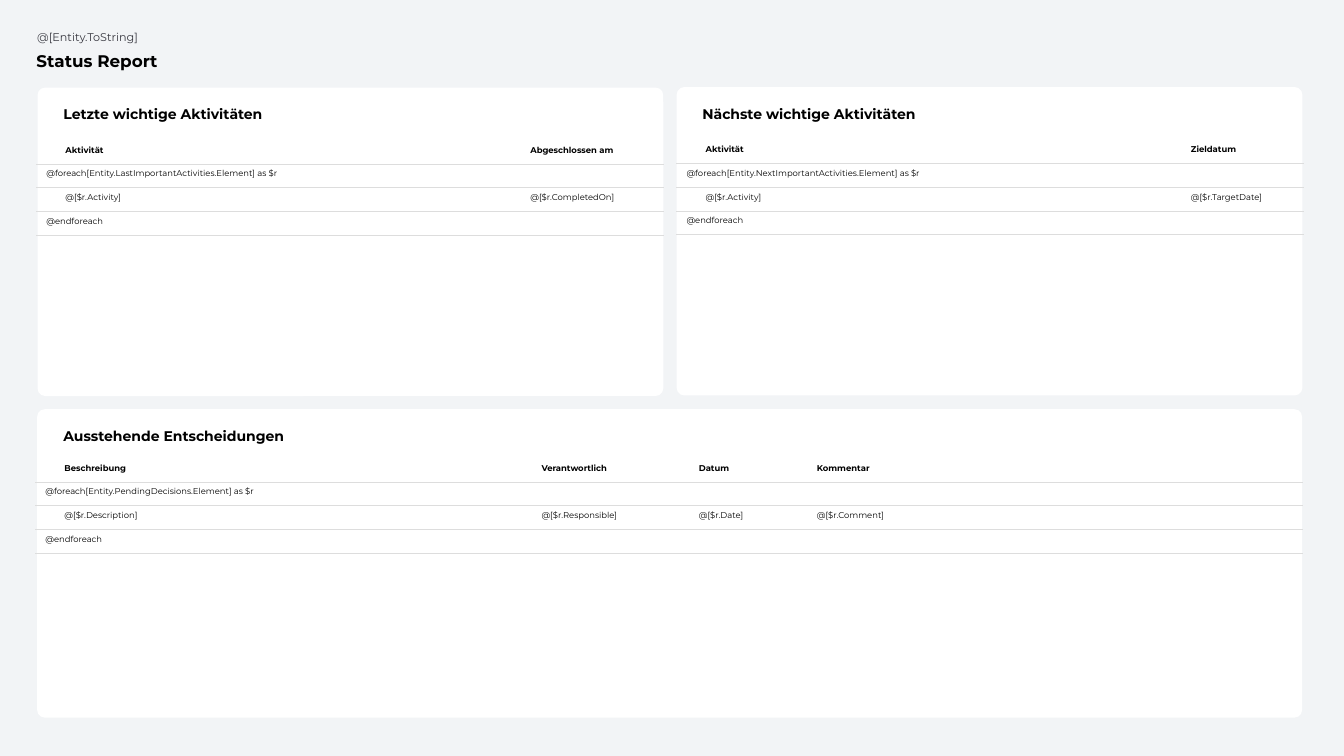
"""Builds a status report template slide with three activity and decision cards."""
from lxml.etree import SubElement
from pptx import Presentation
from pptx.dml.color import RGBColor
from pptx.enum.shapes import MSO_SHAPE
from pptx.enum.text import MSO_ANCHOR, MSO_AUTO_SIZE, PP_ALIGN
from pptx.oxml import parse_xml
from pptx.oxml.ns import nsdecls, qn
from pptx.util import Pt

PLAIN_TABLE_STYLE = "{2D5ABB26-0587-4C30-8999-92F81FD0307C}"
EDGE_COLUMN = 16.6
ROW_HEIGHT = 16.95
CARD_HEIGHT = 220.3


def color(hex_code):
    return RGBColor.from_string(hex_code)


def write(frame, text, size, hex_code="000000", bold=False):
    paragraph = frame.paragraphs[0]
    paragraph.alignment = PP_ALIGN.LEFT
    if text:
        paragraph.text = text
    else:
        SubElement(paragraph._p, qn("a:endParaRPr"), sz=str(size * 100))
    paragraph.font.name = "Montserrat"
    paragraph.font.size = Pt(size)
    paragraph.font.bold = bold
    paragraph.font.color.rgb = color(hex_code)


presentation = Presentation()
presentation.slide_width = Pt(960)
presentation.slide_height = Pt(540)
slide = presentation.slides.add_slide(presentation.slide_layouts[5])
slide.background.fill.solid()
slide.background.fill.fore_color.rgb = color("F2F4F6")

heading = slide.shapes.title
heading.left, heading.top, heading.width, heading.height = Pt(26), Pt(33.4), Pt(587.5), Pt(20)
entity = slide.shapes.add_textbox(Pt(26.6), Pt(18), Pt(420), Pt(16.6))
for box, text, size, hex_code, bold in [
    (heading, "Status Report", 12, "000000", True),
    (entity, "@[Entity.ToString]", 8, "383840", False),
]:
    frame = box.text_frame
    frame.word_wrap = True
    frame.auto_size = MSO_AUTO_SIZE.NONE
    frame.vertical_anchor = MSO_ANCHOR.MIDDLE
    frame.margin_left = frame.margin_right = frame.margin_top = frame.margin_bottom = 0
    write(frame, text, size, hex_code, bold)

cards = [
    ("Letzte wichtige Aktivitäten", "LastImportantActivities",
     (26.8, 62.6, 447), (38.2, 72, 404.6), (25.9, 100),
     [("Aktivität", "Activity", 328.5), ("Abgeschlossen am", "CompletedOn", 85.7)]),
    ("Nächste wichtige Aktivitäten", "NextImportantActivities",
     (483.3, 62.2, 447), (494.6, 71.7, 404.6), (483.2, 99.7),
     [("Aktivität", "Activity", 343), ("Zieldatum", "TargetDate", 70.6)]),
    ("Ausstehende Entscheidungen", "PendingDecisions",
     (26.5, 292.3, 903.6), (38.2, 301.7, 396.7), (25.2, 327.2),
     [("Beschreibung", "Description", 337.2), ("Verantwortlich", "Responsible", 112.4),
      ("Datum", "Date", 84.3), ("Kommentar", "Comment", 337.2)]),
]

for caption, collection, card_place, caption_place, table_place, fields in cards:
    left, top, width = card_place
    card = slide.shapes.add_shape(
        MSO_SHAPE.ROUNDED_RECTANGLE, Pt(left), Pt(top), Pt(width), Pt(CARD_HEIGHT))
    card.adjustments[0] = 0.025
    card.shadow.inherit = False
    card.fill.solid()
    card.fill.fore_color.rgb = color("FFFFFF")
    card.line.fill.background()

    left, top, width = caption_place
    caption_box = slide.shapes.add_textbox(Pt(left), Pt(top), Pt(width), Pt(19.4))
    caption_box.text_frame.word_wrap = True
    caption_box.text_frame.auto_size = MSO_AUTO_SIZE.SHAPE_TO_FIT_TEXT
    write(caption_box.text_frame, caption, 10, bold=True)

    widths = [EDGE_COLUMN, *(field_width for _, _, field_width in fields), EDGE_COLUMN]
    blanks = [""] * (len(widths) - 1)
    rows = [
        ["", *(label for label, _, _ in fields), ""],
        [f"@foreach[Entity.{collection}.Element] as $r", *blanks],
        ["", *(f"@[$r.{name}]" for _, name, _ in fields), ""],
        ["@endforeach", *blanks],
    ]
    left, top = table_place
    table = slide.shapes.add_table(
        len(rows), len(widths), Pt(left), Pt(top),
        Pt(sum(widths)), Pt(ROW_HEIGHT * len(rows))).table
    table._tbl.tblPr.find(qn("a:tableStyleId")).text = PLAIN_TABLE_STYLE
    table.first_row = table.horz_banding = False
    for column, column_width in zip(table.columns, widths):
        column.width = Pt(column_width)
    for row_index, texts in enumerate(rows):
        table.rows[row_index].height = Pt(ROW_HEIGHT)
        for column_index, text in enumerate(texts):
            cell = table.cell(row_index, column_index)
            write(cell.text_frame, text, 6, bold=row_index == 0)
            if column_index == 1:
                cell.margin_left = cell.margin_right = Pt(3.6)
            cell.fill.background()
            cell._tc.get_or_add_tcPr().insert(0, parse_xml(
                f'<a:lnB {nsdecls("a")} w="3175"><a:solidFill>'
                '<a:srgbClr val="DDDDDD"/></a:solidFill></a:lnB>'))
    for loop_row in (1, 3):
        table.cell(loop_row, 0).merge(table.cell(loop_row, len(widths) - 1))

presentation.save("out.pptx")
